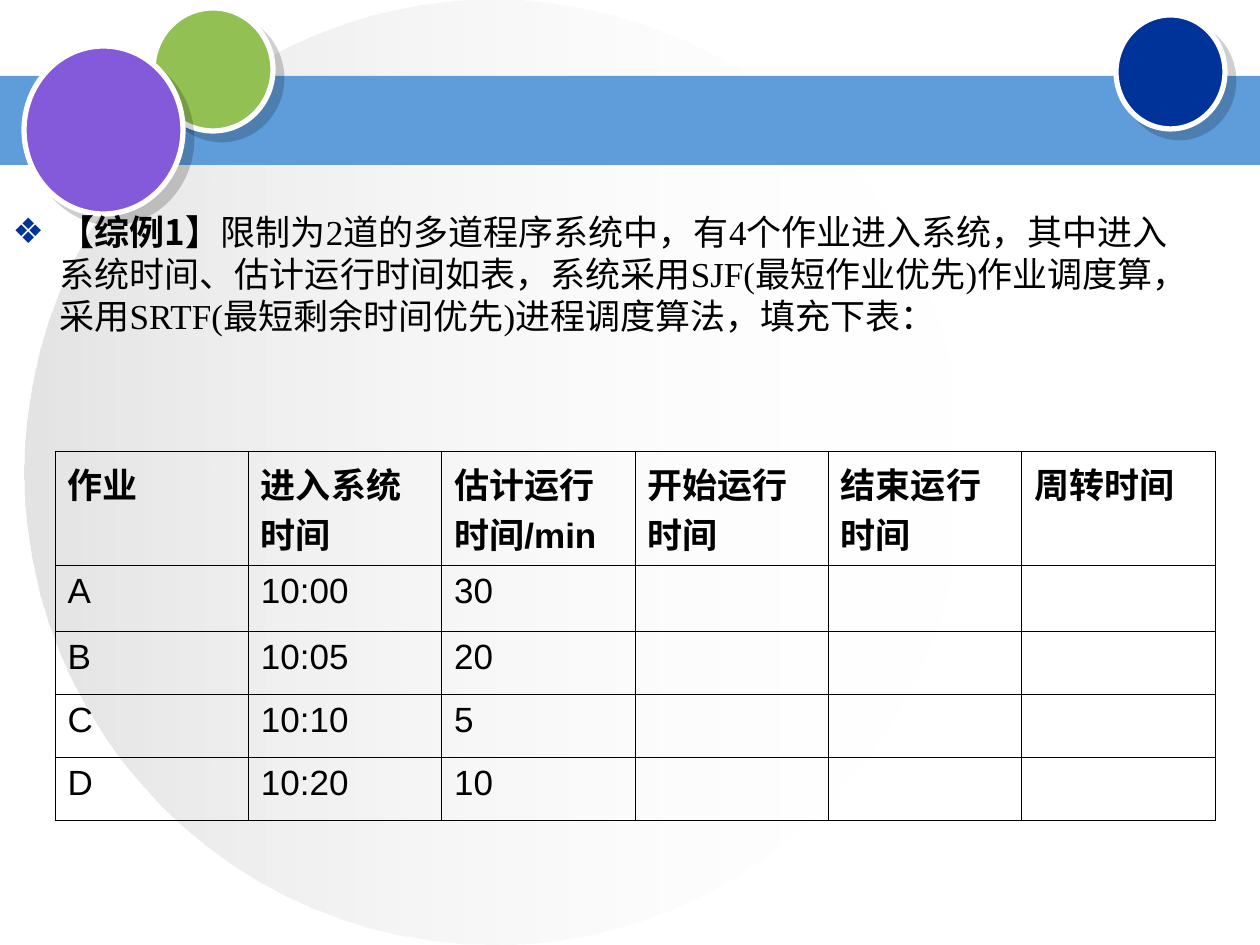
from dataclasses import dataclass

import pptx
import pptx.dml.color
import pptx.enum.shapes
import pptx.enum.text
import pptx.oxml
import pptx.oxml.ns
import pptx.util

PX = 914400 / 126  # EMU in one px
COLORS = {
    "black": "000000", "white": "FFFFFF", "band": "5E9CDA", "green": "93C052",
    "navy": "003399", "violet": "855ADA", "pale": "FEFEFE", "grey": "C0C0C0",
}
CJK_FONT = "Noto Sans CJK SC"
OVAL = pptx.enum.shapes.MSO_SHAPE.OVAL
RECTANGLE = pptx.enum.shapes.MSO_SHAPE.RECTANGLE


@dataclass
class Box:
    left: int
    top: int
    width: int
    height: int

    def emu(self) -> list[int]:
        return [round(n * PX) for n in (self.left, self.top, self.width, self.height)]


@dataclass
class Disc:
    box: Box
    color: str


DISCS = [
    Disc(Box(153, 8, 120, 123), "green"),
    Disc(Box(1116, 15, 109, 114), "navy"),
    Disc(Box(24, 46, 159, 168), "violet"),
]
QUESTION = [
    ("【综例1】", CJK_FONT, True),
    ("限制为2道的多道程序系统中，有4个作业进入系统，其中进入系统时间、估计运行时间如表，"
     "系统采用SJF(最短作业优先)作业调度算，采用SRTF(最短剩余时间优先)进程调度算法，填充下表：",
     "Times New Roman", False),
]
JOBS = [
    ("作业", "进入系统时间", "估计运行时间/min", "开始运行时间", "结束运行时间", "周转时间"),
    ("A", "10:00", "30", "", "", ""),
    ("B", "10:05", "20", "", "", ""),
    ("C", "10:10", "5", "", "", ""),
    ("D", "10:20", "10", "", "", ""),
]
ROW_HEIGHTS = [97, 66, 63, 63, 63]


def rgb(name: str) -> pptx.dml.color.RGBColor:
    return pptx.dml.color.RGBColor.from_string(COLORS[name])


def add_xml(parent, tag: str, content: str = "", **attributes) -> None:
    """Append one DrawingML element to parent."""
    values = " ".join(f'{key}="{value}"' for key, value in attributes.items())
    namespace = pptx.oxml.ns.nsdecls("a")
    parent.append(pptx.oxml.parse_xml(f"<a:{tag} {namespace} {values}>{content}</a:{tag}>"))


def add_plain_shape(slide, kind, box: Box):
    shape = slide.shapes.add_shape(kind, *box.emu())
    shape.shadow.inherit = False
    shape.line.fill.background()
    return shape


def add_backdrop(slide) -> None:
    circle = add_plain_shape(slide, OVAL, Box(24, 0, 938, 945))
    circle.fill.gradient()
    circle.fill.gradient_angle = 180
    for stop, color, position in zip(circle.fill.gradient_stops, ("pale", "grey"), (0, 1)):
        stop.color.rgb = rgb(color)
        stop.position = position
    clear, shaded = circle._element.spPr.iter(pptx.oxml.ns.qn("a:srgbClr"))
    add_xml(clear, "alpha", val=0)
    add_xml(shaded, "alpha", val=44000)

    band = add_plain_shape(slide, RECTANGLE, Box(0, 76, 1260, 89))
    band.fill.solid()
    band.fill.fore_color.rgb = rgb("band")


def add_disc(slide, disc: Disc) -> None:
    shape = slide.shapes.add_shape(OVAL, *disc.box.emu())
    shape.fill.solid()
    shape.fill.fore_color.rgb = rgb(disc.color)
    shape.line.color.rgb = rgb("white")
    shape.line.width = pptx.util.Pt(3)
    shade = (f'<a:outerShdw blurRad="0" dist="{pptx.util.Pt(7.1)}" dir="2700000" algn="ctr" '
             f'rotWithShape="0"><a:srgbClr val="{COLORS["black"]}"><a:alpha val="19000"/>'
             "</a:srgbClr></a:outerShdw>")
    add_xml(shape._element.spPr, "effectLst", shade)


def add_run(paragraph, text: str, font: str, bold: bool) -> None:
    run = paragraph.add_run()
    run.text = text
    style = {"name": font, "size": pptx.util.Pt(20), "bold": bold}
    for attribute, value in style.items():
        setattr(run.font, attribute, value)
    run.font.color.rgb = rgb("black")
    add_xml(run.font._element, "ea", typeface=CJK_FONT)


def fill_question(body) -> None:
    body.left, body.top, body.width, body.height = Box(0, 204, 1199, 218).emu()
    frame = body.text_frame
    frame.auto_size = pptx.enum.text.MSO_AUTO_SIZE.NONE
    frame.vertical_anchor = pptx.enum.text.MSO_ANCHOR.TOP
    paragraph = frame.paragraphs[0]
    layout = {"space_before": 5, "line_spacing": 24}
    for attribute, points in layout.items():
        setattr(paragraph, attribute, pptx.util.Pt(points))
    # Hanging diamond bullet
    properties = paragraph._p.get_or_add_pPr()
    indent = round(47 * PX)
    properties.set("marL", str(indent))
    properties.set("indent", str(-indent))
    add_xml(properties, "buClr", f'<a:srgbClr val="{COLORS["navy"]}"/>')
    add_xml(properties, "buFont", typeface="Arial")
    add_xml(properties, "buChar", char="❖")
    for text, font, bold in QUESTION:
        add_run(paragraph, text, font, bold)


def add_borders(cell) -> None:
    ink = f'<a:solidFill><a:srgbClr val="{COLORS["black"]}"/></a:solidFill>'
    for side in ("lnL", "lnR", "lnT", "lnB"):
        add_xml(cell._tc.get_or_add_tcPr(), side, ink, w=pptx.util.Pt(0.45))


def add_job_table(slide) -> None:
    box = Box(55, 451, 1160, sum(ROW_HEIGHTS))
    table = slide.shapes.add_table(len(JOBS), len(JOBS[0]), *box.emu()).table
    table.first_row = table.horz_banding = False
    for r, (job, height) in enumerate(zip(JOBS, ROW_HEIGHTS)):
        table.rows[r].height = round(height * PX)
        for c, text in enumerate(job):
            cell = table.cell(r, c)
            add_borders(cell)
            cell.fill.background()
            if text:
                paragraph = cell.text_frame.paragraphs[0]
                paragraph.space_before = pptx.util.Pt(5)
                add_run(paragraph, text, "Arial", r == 0)


def main() -> None:
    deck = pptx.Presentation()
    deck.slide_width, deck.slide_height = Box(0, 0, 1260, 945).emu()[2:]
    slide = deck.slides.add_slide(deck.slide_layouts[1])
    heading, question = slide.placeholders
    heading._element.getparent().remove(heading._element)

    # Decoration
    add_backdrop(slide)
    for disc in DISCS:
        add_disc(slide, disc)

    # Question in front of the decoration, then the table
    slide.shapes._spTree.append(question._element)
    fill_question(question)
    add_job_table(slide)
    deck.save("out.pptx")


if __name__ == "__main__":
    main()
